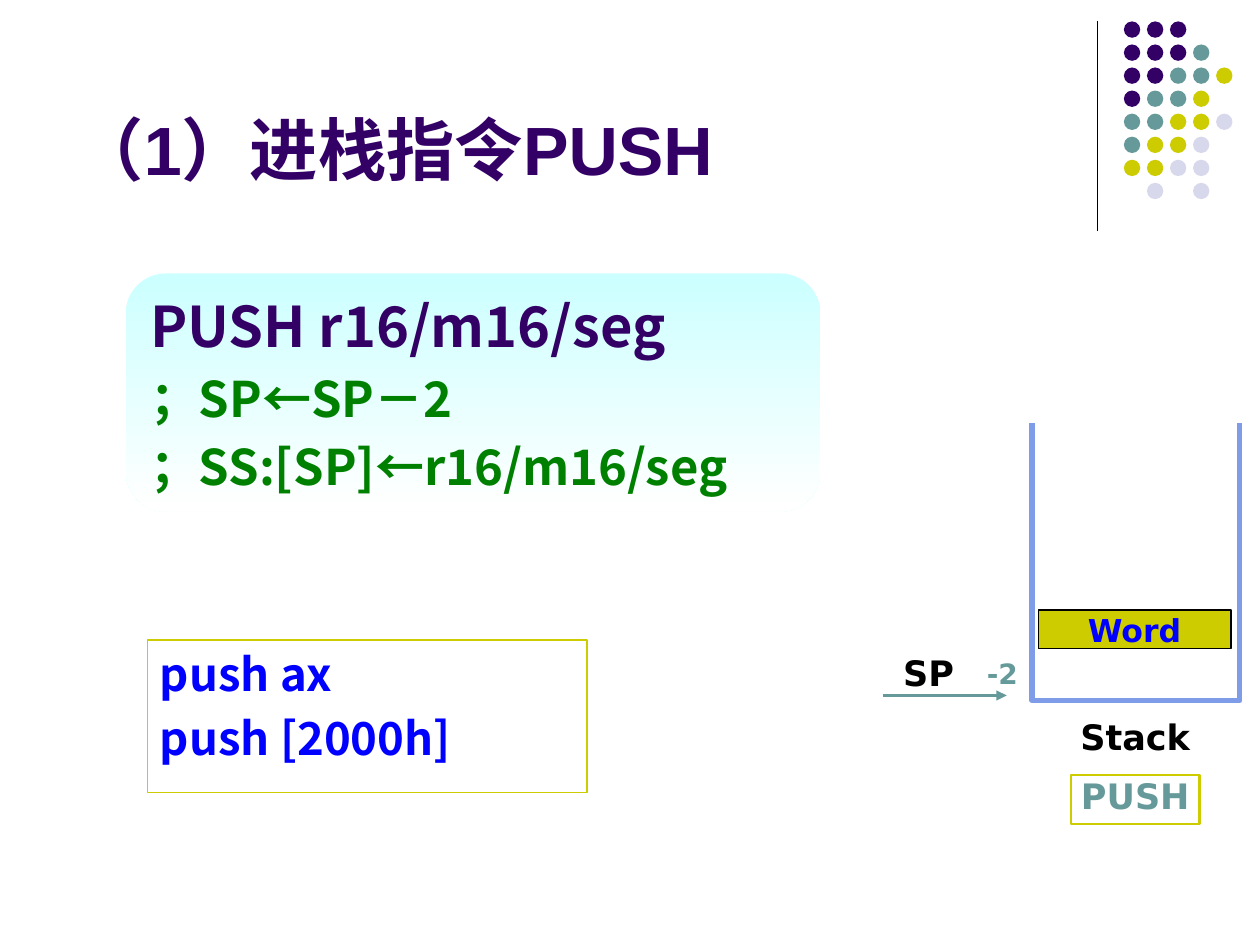
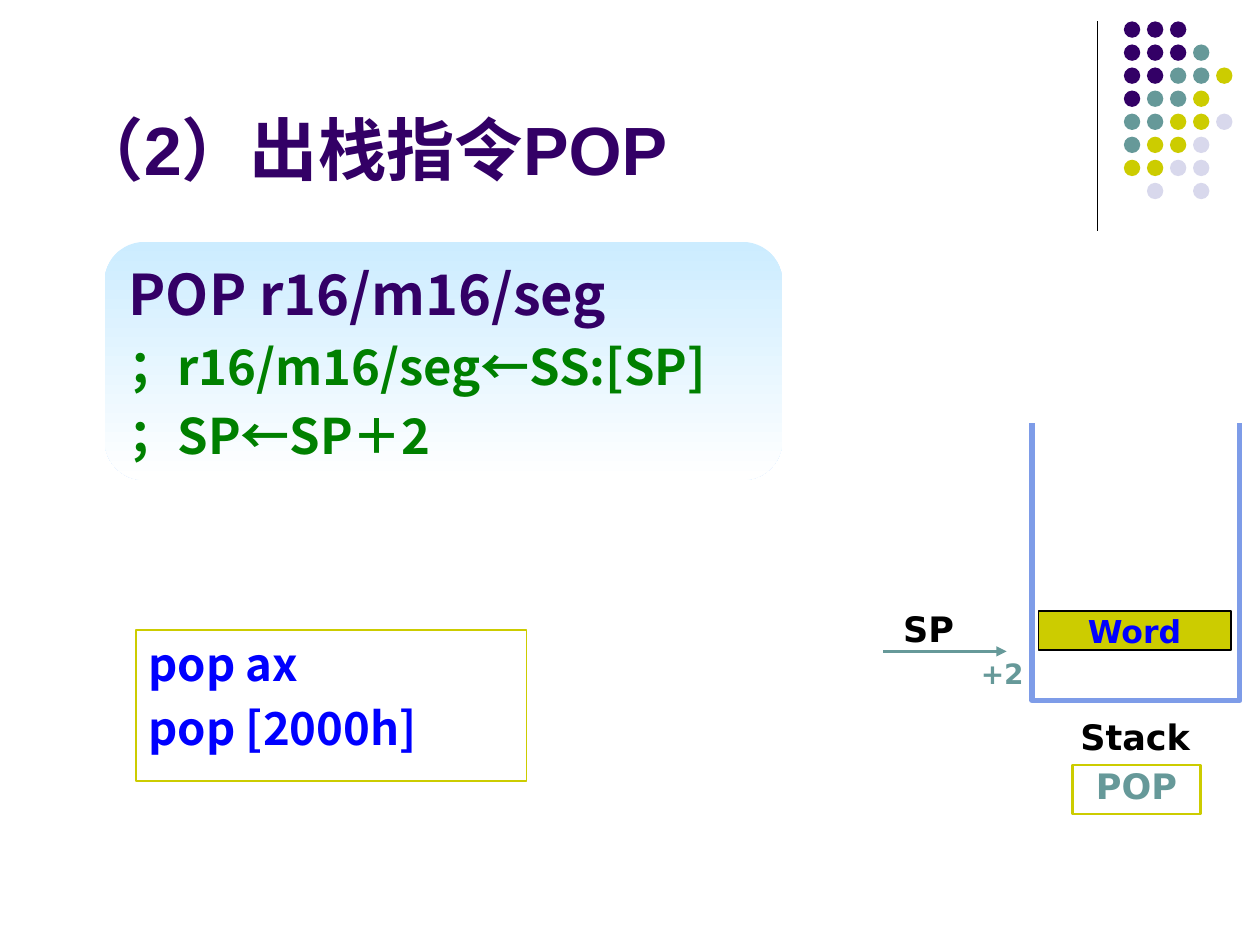
"""Build two slides on the PUSH and POP stack instructions."""
from lxml.etree import SubElement
from pptx import Presentation
from pptx.dml.color import RGBColor
from pptx.enum.shapes import MSO_CONNECTOR, MSO_SHAPE
from pptx.enum.text import MSO_ANCHOR, MSO_AUTO_SIZE, PP_ALIGN
from pptx.oxml.ns import qn
from pptx.util import Inches, Pt

COLORS = {
    "purple": "330066", "teal": "669999", "olive": "CCCC00", "mist": "D8D8EC",
    "black": "000000", "white": "FFFFFF", "blue": "0000FF", "green": "008000",
    "wall": "7E9CE8", "aqua": "CCFFFF", "sky": "CCECFF",
}
TITLE_FONT, CODE_FONT, LABEL_FONT = "Arial", "Noto Sans CJK SC", "DejaVu Sans"

INSTRUCTIONS = [
    {
        "title": "（1）进栈指令PUSH",
        "syntax": "PUSH r16/m16/seg",
        "effects": ["；SP←SP－2", "；SS:[SP]←r16/m16/seg"],
        "syntax_box": (1, 2.17, 5.51, 1.89), "tint": "aqua",
        "examples": ["push ax", "push [2000h]"],
        "example_box": (1.17, 5.08, 3.49, 1.21),
        "name": "PUSH", "name_at": (8.5, 6.15), "word_top": 4.84,
        "pointer_y": 5.52, "step": "-2",
    },
    {
        "title": "（2）出栈指令POP",
        "syntax": "POP r16/m16/seg",
        "effects": ["；r16/m16/seg←SS:[SP]", "；SP←SP＋2"],
        "syntax_box": (0.83, 1.92, 5.38, 1.89), "tint": "sky",
        "examples": ["pop ax", "pop [2000h]"],
        "example_box": (1.08, 5, 3.1, 1.2),
        "name": "POP", "name_at": (8.51, 6.07), "word_top": 4.85,
        "pointer_y": 5.17, "step": "+2",
    },
]

DOT_ROWS = ["PPP", "PPPT", "PPTTO", "PTTO", "TTOOM", "TOOM", "OOMM", " M M"]
DOT_COLORS = {"P": "purple", "T": "teal", "O": "olive", "M": "mist"}
DOT_LEFT, DOT_TOP, DOT_SIZE, DOT_PITCH = 8.92, 0.17, 0.13, 0.183


def rgb(color):
    return RGBColor.from_string(COLORS[color])


def place(box):
    return [Inches(length) for length in box]


def add_run(paragraph, text, font, size, color):
    run = paragraph.add_run()
    run.text = text
    run.font.name = font
    run.font.size = Pt(size)
    run.font.bold = True
    run.font.color.rgb = rgb(color)
    SubElement(run.font._element, qn("a:ea"), typeface=CODE_FONT)


def add_box(shapes, kind, box, fill=None, line=None, width=0.75):
    shape = shapes.add_shape(kind, *place(box))
    shape.shadow.inherit = False
    if fill:
        shape.fill.solid()
        shape.fill.fore_color.rgb = rgb(fill)
    else:
        shape.fill.background()
    if line:
        shape.line.color.rgb = rgb(line)
        shape.line.width = Pt(width)
    else:
        shape.line.fill.background()
    return shape


def add_line(slide, start, end, color, width, arrow=False):
    connector = slide.shapes.add_connector(
        MSO_CONNECTOR.STRAIGHT, *place(start), *place(end))
    connector.line.color.rgb = rgb(color)
    connector.line.width = Pt(width)
    if arrow:
        SubElement(connector.line._get_or_add_ln(), qn("a:tailEnd"), type="triangle")
    SubElement(connector._element.spPr, qn("a:effectLst"))


def write_label(shape, text, size, color, spacing=0.8):
    frame = shape.text_frame
    frame.word_wrap = False
    frame.vertical_anchor = MSO_ANCHOR.MIDDLE
    paragraph = frame.paragraphs[0]
    paragraph.alignment = PP_ALIGN.CENTER
    paragraph.line_spacing = spacing
    add_run(paragraph, text, LABEL_FONT, size, color)


def add_label(slide, box, *label):
    write_label(slide.shapes.add_textbox(*place(box)), *label)


def write_code(shape, lines, hanging=0):
    frame = shape.text_frame
    frame.word_wrap = True
    frame.vertical_anchor = MSO_ANCHOR.TOP
    for index, (text, size, color) in enumerate(lines):
        paragraph = frame.add_paragraph() if index else frame.paragraphs[0]
        paragraph.alignment = PP_ALIGN.LEFT
        if index:
            paragraph.space_before = Pt(size * 0.2)
        if hanging:
            properties = paragraph._p.get_or_add_pPr()
            properties.set("marL", str(Inches(hanging)))
            properties.set("indent", str(-Inches(hanging)))
        add_run(paragraph, text, CODE_FONT, size, color)


def add_decoration(slide):
    add_line(slide, (8.71, 0.17), (8.71, 1.83), "black", 0.75)
    dots = slide.shapes.add_group_shape().shapes
    for row, pattern in enumerate(DOT_ROWS):
        for column, code in enumerate(pattern):
            if code in DOT_COLORS:
                left = DOT_LEFT + column * DOT_PITCH
                top = DOT_TOP + row * DOT_PITCH
                add_box(dots, MSO_SHAPE.OVAL, (left, top, DOT_SIZE, DOT_SIZE),
                        DOT_COLORS[code])


def add_title(slide, text):
    title = slide.shapes.title
    title.left, title.top, title.width, title.height = place((0.5, 0.13, 8.25, 1.42))
    frame = title.text_frame
    frame.auto_size = MSO_AUTO_SIZE.NONE
    frame.vertical_anchor = MSO_ANCHOR.BOTTOM
    frame.paragraphs[0].alignment = PP_ALIGN.LEFT
    add_run(frame.paragraphs[0], text, TITLE_FONT, 39, "purple")


def add_code(slide, item):
    examples = add_box(slide.shapes, MSO_SHAPE.RECTANGLE, item["example_box"], line="olive")
    write_code(examples, [(text, 26, "blue") for text in item["examples"]], 0.38)

    syntax = add_box(slide.shapes, MSO_SHAPE.FLOWCHART_ALTERNATE_PROCESS, item["syntax_box"])
    syntax.fill.gradient()
    syntax.fill.gradient_angle = 270
    for stop, position, color in zip(syntax.fill.gradient_stops, (0, 1), (item["tint"], "white")):
        stop.position = position
        stop.color.rgb = rgb(color)
    write_code(syntax, [(item["syntax"], 32, "purple")]
               + [(text, 28, "green") for text in item["effects"]])
    syntax.text_frame.auto_size = MSO_AUTO_SIZE.SHAPE_TO_FIT_TEXT


def add_stack(slide, item):
    shapes = slide.shapes
    add_box(shapes, MSO_SHAPE.RECTANGLE, (8.23, 3.4, 1.57, 2.13), "white")
    outline = shapes.build_freeform(*place((8.19, 3.36)))
    outline.add_line_segments(
        [place(point) for point in ((8.19, 5.56), (9.84, 5.56), (9.84, 3.36))], close=False)
    walls = outline.convert_to_shape()
    walls.shadow.inherit = False
    walls.fill.background()
    walls.line.color.rgb = rgb("wall")
    walls.line.width = Pt(3)

    word = add_box(shapes, MSO_SHAPE.RECTANGLE, (8.24, item["word_top"], 1.53, 0.31),
                   "olive", "black")
    write_label(word, "Word", 18, "blue", 1.0)
    add_label(slide, (8.4, 5.68, 1.22, 0.39), "Stack", 20, "black")
    name = add_box(shapes, MSO_SHAPE.RECTANGLE, (*item["name_at"], 1.02, 0.39),
                   "white", "olive", 1.5)
    write_label(name, item["name"], 20, "teal")

    y = item["pointer_y"]
    add_line(slide, (7.01, y), (7.99, y), "teal", 1.5, arrow=True)
    add_label(slide, (6.93, y - 0.35, 0.88, 0.39), "SP", 20, "black")
    add_label(slide, (7.64, 5.17, 0.63, 0.39), item["step"], 16, "teal")


def main():
    deck = Presentation()
    deck.slide_width, deck.slide_height = Inches(10), Inches(7.5)
    for item in INSTRUCTIONS:
        slide = deck.slides.add_slide(deck.slide_layouts[5])
        add_decoration(slide)
        add_title(slide, item["title"])
        add_code(slide, item)
        add_stack(slide, item)
    deck.save("out.pptx")


if __name__ == "__main__":
    main()
